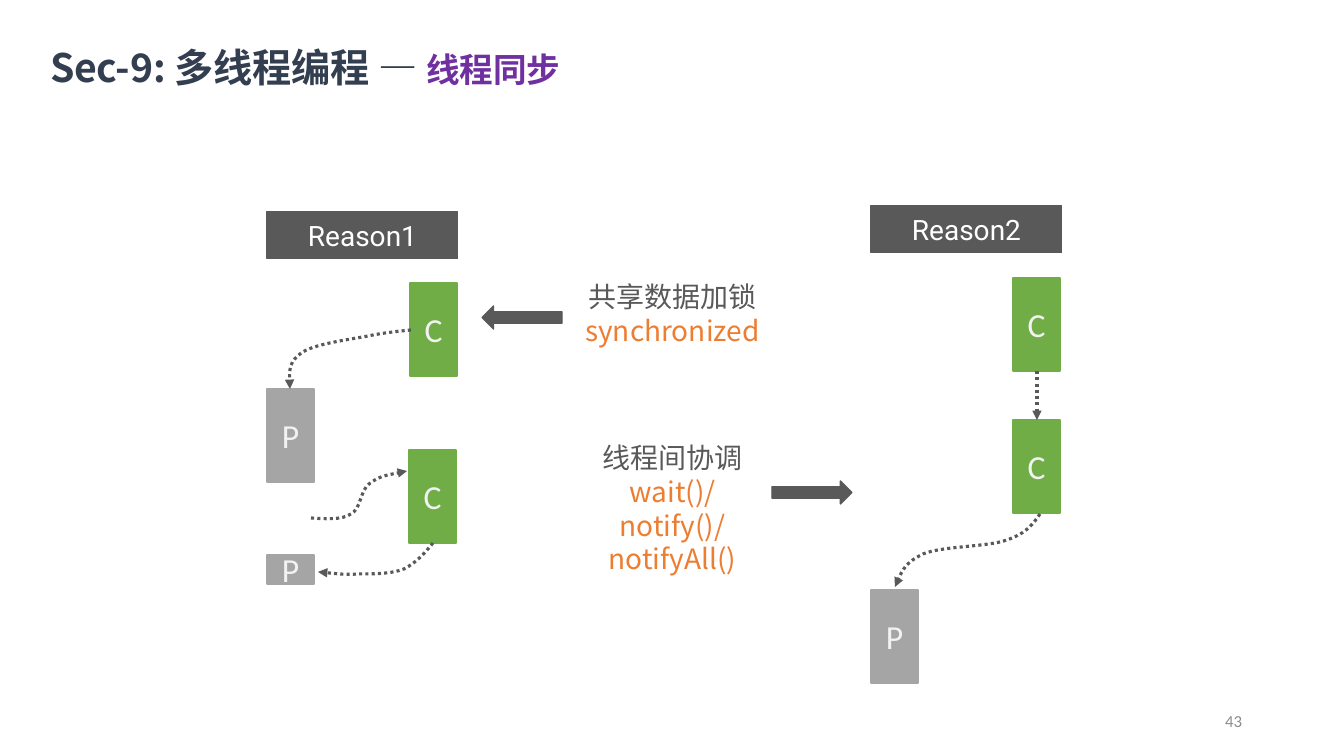
"""Build the thread synchronization slide."""
from lxml import etree
from pptx import Presentation
from pptx.dml.color import RGBColor
from pptx.enum.dml import MSO_LINE
from pptx.enum.shapes import MSO_CONNECTOR, MSO_SHAPE
from pptx.enum.text import MSO_ANCHOR, PP_ALIGN
from pptx.oxml.ns import qn
from pptx.util import Pt

RECT, ARROW = MSO_SHAPE.RECTANGLE, MSO_SHAPE.RIGHT_ARROW
STRAIGHT, DOTS = MSO_CONNECTOR.STRAIGHT, MSO_LINE.ROUND_DOT
LEFT, CENTER, RIGHT = PP_ALIGN.LEFT, PP_ALIGN.CENTER, PP_ALIGN.RIGHT
TOP, MIDDLE = MSO_ANCHOR.TOP, MSO_ANCHOR.MIDDLE
SANS, LATIN, HEAD = "Noto Sans CJK SC", "Calibri", "Roboto"
DARK, ORANGE = "595959", "ED7D31"
THREAD_FILL = {"C": "70AD47", "P": "A5A5A5"}
THREAD_W, THREAD_H = 47, 93
HEAD_W, HEAD_H = 191, 47
EMU_PER_PX = 914400 / 100.8

TITLE = [("Sec-9: 多线程编程 — ", 28, "333F50"), ("线程同步", 24, "7030A0")]
PAGE = "43"
REASONS = [
    {
        "head": ("Reason1", 267, 212),
        "threads": [("P", 267, 389, THREAD_H), ("C", 409, 450, THREAD_H),
                    ("P", 267, 555, 29), ("C", 410, 283, THREAD_H)],
        "curves": [
            [(311, 518), (326, 519), (342, 520), (351, 514), (361, 509),
             (360, 491), (369, 484), (379, 476), (393, 474), (407, 471)],
            [(433, 543), (425, 553), (416, 563), (404, 569), (392, 574),
             (373, 574), (359, 574), (345, 575), (331, 573), (318, 572)],
            [(411, 330), (401, 331), (390, 332), (373, 335), (355, 339),
             (317, 343), (303, 352), (289, 361), (289, 375), (290, 389)],
        ],
        "lines": [],
    },
    {
        "head": ("Reason2", 871, 206),
        "threads": [("P", 871, 590, THREAD_H), ("C", 1013, 420, THREAD_H),
                    ("C", 1013, 278, THREAD_H)],
        "curves": [
            [(1040, 514), (1033, 524), (1027, 533), (1007, 540), (988, 547),
             (942, 546), (923, 554), (905, 563), (900, 575), (895, 587)],
        ],
        "lines": [(1037, 371, 1037, 420)],
    },
]
REMEDIES = [
    ("共享数据加锁", "synchronized", (569, 275, 207, 78), (482, 306), 180),
    ("线程间协调", "wait()/notify()/notifyAll()", (569, 436, 207, 112), (772, 481), 0),
]


def px(*lengths):
    return [round(n * EMU_PER_PX) for n in lengths]


def rgb(value):
    return RGBColor.from_string(value)


def style_run(r, size, color, font, bold=False):
    r.font.size, r.font.name, r.font.bold = Pt(size), font, bold
    r.font.color.rgb = rgb(color)
    etree.SubElement(r._r.get_or_add_rPr(), qn("a:ea")).set("typeface", font)


def add_box(shapes, kind, box, color, line_width=1):
    sp = shapes.add_shape(kind, *px(*box))
    sp.shadow.inherit = False
    sp.fill.solid()
    sp.fill.fore_color.rgb = rgb(color)
    sp.line.color.rgb = rgb(color)
    sp.line.width = Pt(line_width)
    return sp


def add_label(sp, text, size, color, font, wrap=True):
    tf = sp.text_frame
    tf.text = text
    tf.word_wrap, tf.vertical_anchor = wrap, MIDDLE
    p = tf.paragraphs[0]
    p.alignment = CENTER
    style_run(p.runs[0], size, color, font)


def add_text(shapes, box, paragraphs, font, align, anchor=TOP, bold=False):
    tf = shapes.add_textbox(*px(*box)).text_frame
    tf.word_wrap, tf.vertical_anchor = True, anchor
    for i, runs in enumerate(paragraphs):
        p = tf.add_paragraph() if i else tf.paragraphs[0]
        p.alignment = align
        for text, size, color in runs:
            r = p.add_run()
            r.text = text
            style_run(r, size, color, font, bold)
    return tf


def style_flow(sp):
    sp.line.color.rgb = rgb(DARK)
    sp.line.width = Pt(2.25)
    sp.line.dash_style = DOTS
    etree.SubElement(sp.line._get_or_add_ln(), qn("a:tailEnd")).set("type", "triangle")


def add_curve(shapes, points):
    builder = shapes.build_freeform(*points[0], scale=EMU_PER_PX)
    builder.add_line_segments(points[1:], close=False)
    sp = builder.convert_to_shape()
    sp.shadow.inherit = False
    sp.fill.background()
    path = sp._element.find(".//" + qn("a:path"))
    steps = path.findall(qn("a:lnTo"))
    for i in range(0, len(steps), 3):
        curve = etree.SubElement(path, qn("a:cubicBezTo"))
        for step in steps[i:i + 3]:
            curve.append(step[0])
            path.remove(step)
    style_flow(sp)


def add_line(shapes, ends):
    sp = shapes.add_connector(STRAIGHT, *px(*ends))
    etree.SubElement(sp._element.spPr, qn("a:effectLst"))
    style_flow(sp)


def add_reason(shapes, reason):
    text, x, y = reason["head"]
    sp = add_box(shapes, RECT, (x, y, HEAD_W, HEAD_H), DARK, 0.75)
    add_label(sp, text, 20, "FFFFFF", HEAD, wrap=False)
    for name, x, y, h in reason["threads"]:
        sp = add_box(shapes, RECT, (x, y, THREAD_W, h), THREAD_FILL[name])
        add_label(sp, name, 24, "F2F2F2", LATIN)
    for points in reason["curves"]:
        add_curve(shapes, points)
    for ends in reason["lines"]:
        add_line(shapes, ends)


def main():
    prs = Presentation()
    prs.slide_width, prs.slide_height = px(1344, 756)
    s = prs.slides.add_slide(prs.slide_layouts[6])
    add_text(s.shapes, (950, 701, 302, 40), [[(PAGE, 12, "8C8C8C")]], LATIN, RIGHT, MIDDLE)
    for reason in REASONS:
        add_reason(s.shapes.add_group_shape().shapes, reason)
    for topic, method, box, (x, y), turn in REMEDIES:
        add_text(s.shapes, box, [[(topic, 20, DARK)], [(method, 20, ORANGE)]], SANS, CENTER)
        add_box(s.shapes, ARROW, (x, y, 80, 23), DARK).rotation = turn
    tf = add_text(s.shapes, (50, 42, 653, 48), [TITLE], SANS, LEFT, bold=True)
    tf.margin_left = tf.margin_right = tf.margin_bottom = 0
    tf.margin_top = px(1)[0]
    for r in tf.paragraphs[0].runs:
        r._r.get_or_add_rPr().set("spc", "-10")
    prs.save("out.pptx")


if __name__ == "__main__":
    main()
